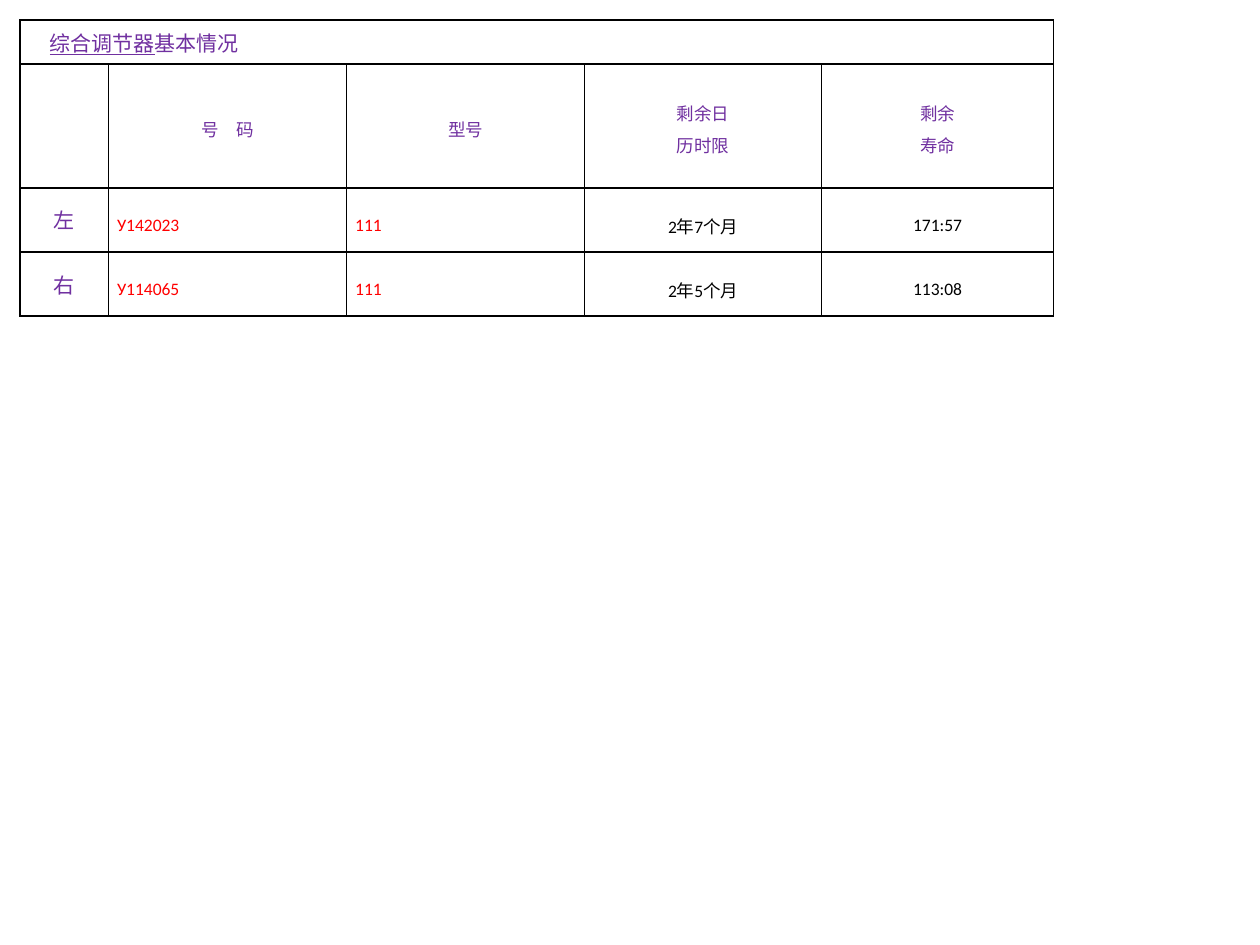
from dataclasses import dataclass

from lxml.etree import SubElement
from pptx import Presentation
from pptx.dml.color import RGBColor
from pptx.enum.text import MSO_ANCHOR, PP_ALIGN
from pptx.oxml.ns import qn
from pptx.util import Pt


@dataclass(frozen=True)
class Theme:
    font: str = "Calibri"
    label: str = "7030A0"
    number: str = "FF0000"
    value: str = "000000"
    border: str = "000000"
    large: int = 12
    small: int = 10


theme = Theme()


def write(p, text, size=theme.small, color=theme.label, align=PP_ALIGN.CENTER,
          spacing=None, underline=None):
    p.alignment = align
    p.line_spacing = spacing
    r = p.add_run()
    r.text = text
    r.font.name = theme.font
    r.font.size = Pt(size)
    r.font.underline = underline
    r.font.color.rgb = RGBColor.from_string(color)


def add_borders(cell):
    tcPr = cell._tc.get_or_add_tcPr()
    for side in ("lnL", "lnR", "lnT", "lnB"):
        ln = SubElement(tcPr, qn(f"a:{side}"), w=str(Pt(1)))
        fill = SubElement(ln, qn("a:solidFill"))
        SubElement(fill, qn("a:srgbClr"), val=theme.border)


prs = Presentation()
prs.slide_width, prs.slide_height = Pt(720), Pt(540)
s = prs.slides.add_slide(prs.slide_layouts[6])

# Table grid
widths = [50.4, 136.1, 136.1, 135.4, 132.5]
heights = [25.2, 70.6, 36.7, 36.7]
table = s.shapes.add_table(len(heights), len(widths), Pt(11.5), Pt(11.5),
                           Pt(sum(widths)), Pt(sum(heights))).table
table.first_row = table.horz_banding = False
for column, width in zip(table.columns, widths):
    column.width = Pt(width)
for row, height in zip(table.rows, heights):
    row.height = Pt(height)
for cell in table.iter_cells():
    cell.margin_left = cell.margin_right = Pt(5)
    cell.margin_top = cell.margin_bottom = 0
    cell.vertical_anchor = MSO_ANCHOR.MIDDLE
    add_borders(cell)
    cell.fill.background()

# Title row with a hanging first line
title = table.cell(0, 0)
title.merge(table.cell(0, len(widths) - 1))
p = title.text_frame.paragraphs[0]
pPr = p._p.get_or_add_pPr()
pPr.set("marL", str(Pt(72)))
pPr.set("indent", str(Pt(-60)))
for text, underline in (("综合调节器", True), ("基本情况", False)):
    write(p, text, size=theme.large, align=PP_ALIGN.JUSTIFY, underline=underline)

# Column headings
headings = [["号　码"], ["型号"], ["剩余日", "历时限"], ["剩余", "寿命"]]
for col, lines in enumerate(headings, start=1):
    tf = table.cell(1, col).text_frame
    for i, line in enumerate(lines):
        p = tf.add_paragraph() if i else tf.paragraphs[0]
        write(p, line, spacing=Pt(18))

# Left and right regulator rows
regulators = [
    ("左", "У142023", "111", "2年7个月", "171:57"),
    ("右", "У114065", "111", "2年5个月", "113:08"),
]
number = dict(color=theme.number, align=PP_ALIGN.LEFT, spacing=1.5)
value = dict(color=theme.value, spacing=1.5)
formats = [dict(size=theme.large), number, number, value, value]
for row, texts in enumerate(regulators, start=2):
    for col, (text, style) in enumerate(zip(texts, formats)):
        write(table.cell(row, col).text_frame.paragraphs[0], text, **style)

prs.save("out.pptx")
